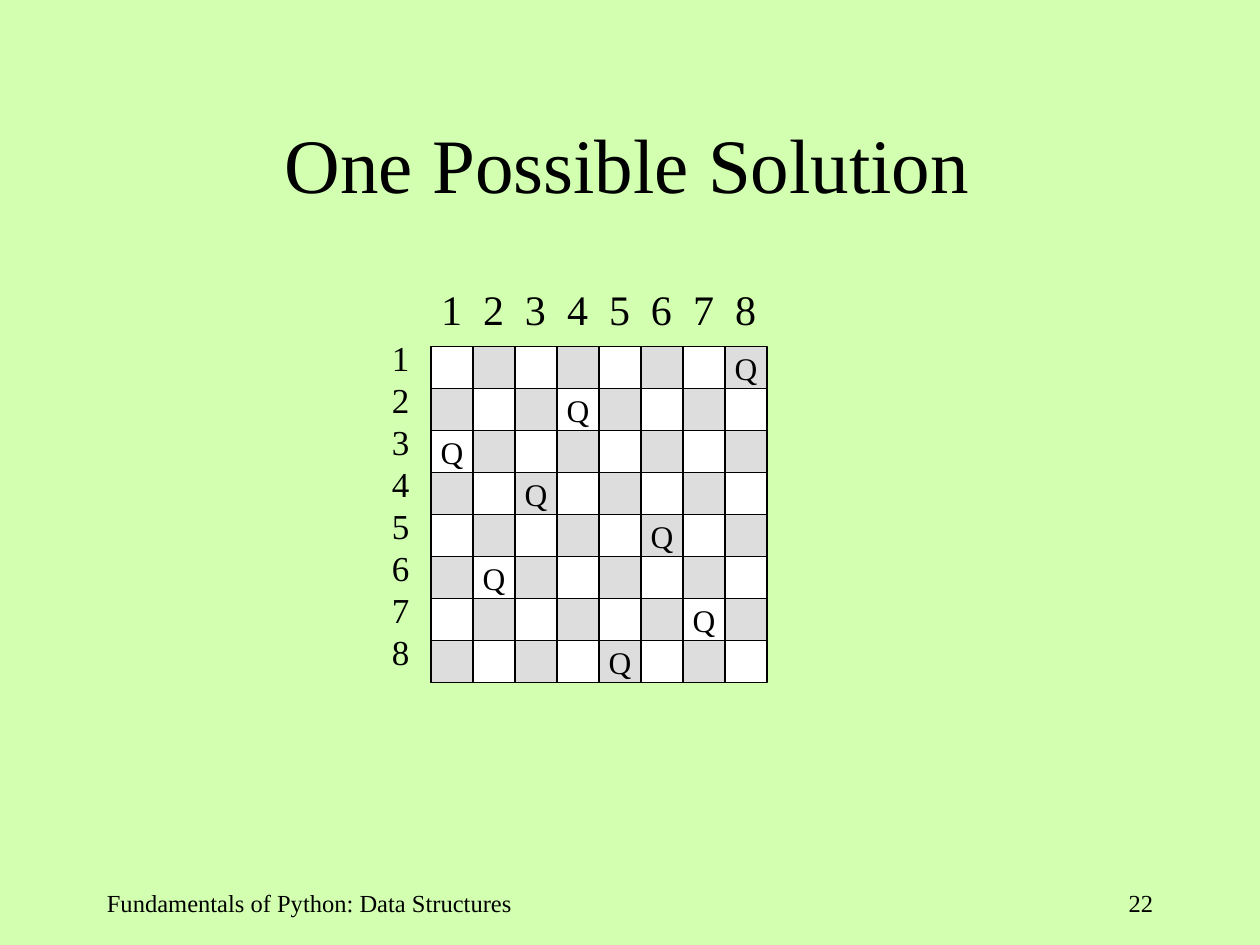
from lxml import etree
from pptx import Presentation
from pptx import util as u
from pptx.dml.color import RGBColor
from pptx.enum import shapes, text
from pptx.oxml.ns import qn

BACKGROUND = RGBColor(0xD2, 0xFF, 0xB0)
BLACK = RGBColor(0, 0, 0)
WHITE = RGBColor(0xFF, 0xFF, 0xFF)
GRAY = RGBColor(0xDD, 0xDD, 0xDD)
FONT = "Times New Roman"

SIZE = 8
CELL = u.Inches(1 / 3)
BOARD_LEFT, BOARD_TOP = u.Inches(3.42), u.Inches(2.75)
QUEEN_COLUMNS = (8, 4, 1, 3, 6, 2, 7, 5)  # one for each row
LABELS = [str(n + 1) for n in range(SIZE)]


def set_frame(tf, insets, anchor=text.MSO_ANCHOR.TOP, wrap=True):
    """Insets are left, top, right, bottom in inches."""
    (tf.margin_left, tf.margin_top,
     tf.margin_right, tf.margin_bottom) = map(u.Inches, insets)
    tf.vertical_anchor = anchor
    tf.word_wrap = wrap


def add_run(p, words, size, align=text.PP_ALIGN.LEFT):
    p.alignment = align
    r = p.add_run()
    r.text = words
    r.font.name = FONT
    r.font.size = u.Pt(size)
    r.font.color.rgb = BLACK


def add_title(s, words):
    title = s.shapes.title
    title.left, title.top = u.Inches(0.75), u.Inches(0.67)
    title.width, title.height = u.Inches(8.5), u.Inches(1.25)
    set_frame(title.text_frame, (0.1, 0.05, 0.14, 0.05), text.MSO_ANCHOR.MIDDLE)
    add_run(title.text_frame.paragraphs[0], words, 44, text.PP_ALIGN.CENTER)


def add_square(s, row, column):
    sp = s.shapes.add_shape(
        shapes.MSO_SHAPE.RECTANGLE,
        BOARD_LEFT + column * CELL, BOARD_TOP + row * CELL, CELL, CELL)
    sp.shadow.inherit = False
    sp.fill.solid()
    sp.fill.fore_color.rgb = GRAY if (row + column) % 2 else WHITE
    sp.line.color.rgb = BLACK
    sp.line.width = u.Pt(0.75)
    if QUEEN_COLUMNS[row] == column + 1:
        set_frame(sp.text_frame, (0, 0, 0, 0), text.MSO_ANCHOR.MIDDLE, wrap=False)
        add_run(sp.text_frame.paragraphs[0], "Q", 18, text.PP_ALIGN.CENTER)


def set_tab_stops(p, pitch, count):
    tabs = etree.SubElement(p._p.get_or_add_pPr(), qn("a:tabLst"))
    for n in range(1, count + 1):
        etree.SubElement(tabs, qn("a:tab"), pos=str(n * pitch), algn="l")


def add_column_labels(s):
    box = s.shapes.add_textbox(u.Inches(3.46), u.Inches(2.25), SIZE * CELL, u.Inches(0.4))
    set_frame(box.text_frame, (0.04, 0, 0, 0))
    p = box.text_frame.paragraphs[0]
    add_run(p, "\t".join(LABELS), 24)
    set_tab_stops(p, CELL, SIZE - 1)


def add_row_labels(s):
    box = s.shapes.add_textbox(u.Inches(3.07), u.Inches(2.67), u.Inches(0.23), SIZE * CELL)
    tf = box.text_frame
    set_frame(tf, (0.04, 0, 0.04, 0), wrap=False)
    for n, label in enumerate(LABELS):
        p = tf.add_paragraph() if n else tf.paragraphs[0]
        p.line_spacing = u.Pt(24)
        add_run(p, label, 20)


def add_footer(s, left, width, words, align):
    box = s.shapes.add_textbox(u.Inches(left), u.Inches(7), u.Inches(width), u.Inches(0.5))
    set_frame(box.text_frame, (0.1, 0.05, 0.1, 0.05))
    add_run(box.text_frame.paragraphs[0], words, 14, align)


def main():
    prs = Presentation()
    prs.slide_width, prs.slide_height = u.Inches(10), u.Inches(7.5)
    s = prs.slides.add_slide(prs.slide_layouts.get_by_name("Title Only"))
    s.background.fill.solid()
    s.background.fill.fore_color.rgb = BACKGROUND

    add_title(s, "One Possible Solution")
    for column in range(SIZE):
        for row in range(SIZE):
            add_square(s, row, column)
    add_column_labels(s)
    add_row_labels(s)
    add_footer(s, 0.75, 3.67, "Fundamentals of Python: Data Structures", text.PP_ALIGN.LEFT)
    add_footer(s, 7.17, 2.08, "22", text.PP_ALIGN.RIGHT)
    prs.save("out.pptx")


if __name__ == "__main__":
    main()
